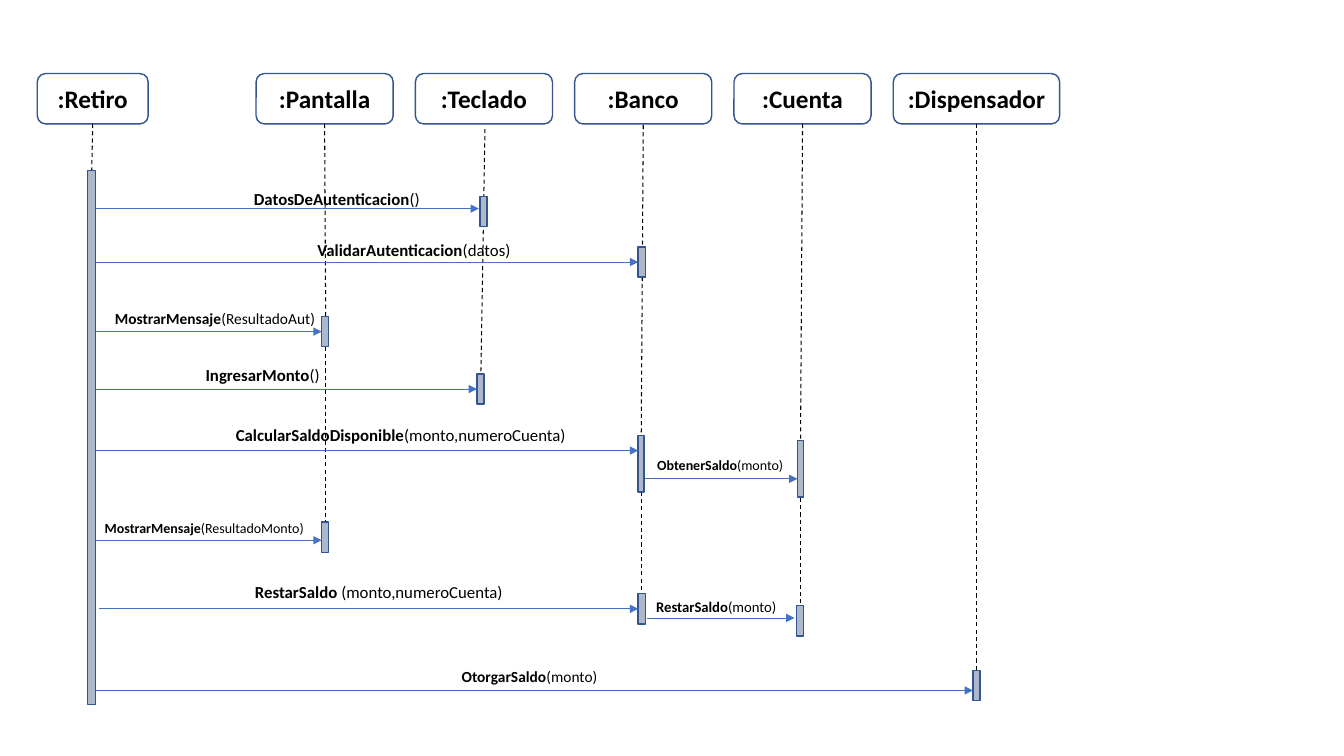
from dataclasses import dataclass

from lxml import etree
from pptx import Presentation
from pptx.dml.color import RGBColor
from pptx.enum.dml import MSO_LINE
from pptx.enum.shapes import MSO_CONNECTOR, MSO_SHAPE
from pptx.enum.text import MSO_ANCHOR, PP_ALIGN
from pptx.oxml.ns import qn
from pptx.util import Inches, Pt

STRAIGHT = MSO_CONNECTOR.STRAIGHT
RECTANGLE, ROUNDED = MSO_SHAPE.RECTANGLE, MSO_SHAPE.ROUNDED_RECTANGLE
MIDDLE, CENTER = MSO_ANCHOR.MIDDLE, PP_ALIGN.CENTER
DASH = MSO_LINE.DASH


@dataclass(frozen=True)
class Theme:
    font: str = "Calibri"
    ink: RGBColor = RGBColor(0, 0, 0)
    outline: RGBColor = RGBColor(0x32, 0x54, 0x91)
    bar: RGBColor = RGBColor(0xAD, 0xB9, 0xCA)
    arrow: RGBColor = RGBColor(0x44, 0x72, 0xC4)
    heading_size: float = 18
    outline_width: float = 1
    lifeline_width: float = 0.75
    arrow_width: float = 0.5


@dataclass(frozen=True)
class Activation:
    left: float
    top: float
    width: float = 0.07
    height: float = 0.3


@dataclass(frozen=True)
class Participant:
    name: str
    left: float
    width: float
    lifelines: list[tuple[float, float, float, float]]  # x1, y1, x2, y2
    activations: list[Activation]


@dataclass(frozen=True)
class Message:
    operation: str
    arguments: str
    start: float
    end: float
    y: float
    label_left: float
    label_top: float
    label_width: float
    size: float = 12


THEME = Theme()
HEAD_TOP, HEAD_HEIGHT, HEAD_WIDTH = 0.73, 0.5, 1.36
FIRST_LEFT, HEAD_PITCH = 2.54, 1.58
LABEL_HEIGHT = 0.3
RETIRO, PANTALLA, TECLADO, BANCO, CUENTA, DISPENSADOR = 0.95, 3.19, 4.75, 6.33, 7.91, 9.65


def head_left(column: int) -> float:
    return FIRST_LEFT + column * HEAD_PITCH


PARTICIPANTS = [
    Participant(":Retiro", 0.37, 1.1, [(0.92, 1.23, 0.91, 1.69)],
                [Activation(0.87, 1.69, 0.08, 5.3)]),
    Participant(":Pantalla", head_left(0), HEAD_WIDTH,
                [(3.22, 1.23, 3.23, 3.14), (3.23, 3.44, 3.23, 5.18)],
                [Activation(PANTALLA, 3.14), Activation(PANTALLA, 5.18)]),
    Participant(":Teclado", head_left(1), HEAD_WIDTH, [(4.81, 1.28, 4.77, 3.71)],
                [Activation(4.76, 1.95), Activation(4.73, 3.71)]),
    Participant(":Banco", head_left(2), HEAD_WIDTH,
                [(6.38, 1.24, 6.36, 4.32), (6.36, 4.88, 6.36, 5.89)],
                [Activation(BANCO, 2.45), Activation(BANCO, 4.32, 0.06, 0.56),
                 Activation(BANCO, 5.89)]),
    Participant(":Cuenta", head_left(3), HEAD_WIDTH,
                [(7.96, 1.23, 7.94, 4.37), (7.94, 4.94, 7.94, 6.01)],
                [Activation(CUENTA, 4.37, 0.06, 0.56), Activation(7.9, 6.01)]),
    Participant(":Dispensador", head_left(4), 1.65, [(9.69, 1.23, 9.69, 6.65)],
                [Activation(DISPENSADOR, 6.65)]),
]

MESSAGES = [
    Message("DatosDeAutenticacion", "()", RETIRO, TECLADO, 2.07, 2.42, 1.82, 1.88),
    Message("ValidarAutenticacion", "(datos)", RETIRO, BANCO, 2.6, 3.05, 2.33, 2.26),
    Message("MostrarMensaje", "(ResultadoAut)", RETIRO, PANTALLA, 3.29, 1.04, 3.02, 2.28, 11),
    Message("IngresarMonto", "()", RETIRO, 4.73, 3.86, 1.94, 3.57, 1.88),
    Message("CalcularSaldoDisponible", "(monto,numeroCuenta)", RETIRO, BANCO, 4.47,
            2.24, 4.16, 3.61),
    Message("ObtenerSaldo", "(monto)", 6.4, CUENTA, 4.75, 6.42, 4.48, 1.46, 10),
    Message("MostrarMensaje", "(ResultadoMonto)", RETIRO, PANTALLA, 5.36, 0.94, 5.1, 2.28, 10),
    Message("RestarSaldo ", "(monto,numeroCuenta)", 0.98, BANCO, 6.04, 2.43, 5.72, 3.61),
    Message("RestarSaldo", "(monto)", 6.42, 7.88, 6.13, 6.41, 5.88, 1.42, 10.5),
    Message("OtorgarSaldo", "(monto)", RETIRO, DISPENSADOR, 6.85, 4.48, 6.57, 1.66, 11),
]


def write(paragraph, text: str, *, size: float, bold: bool = False) -> None:
    run = paragraph.add_run()
    run.text = text
    run.font.name = THEME.font
    run.font.size = Pt(size)
    run.font.bold = bold
    run.font.color.rgb = THEME.ink


def add_box(slide, kind, left: float, top: float, width: float, height: float,
            fill: RGBColor | None = None):
    box = slide.shapes.add_shape(kind, Inches(left), Inches(top), Inches(width), Inches(height))
    box.shadow.inherit = False
    if fill is None:
        box.fill.background()
    else:
        box.fill.solid()
        box.fill.fore_color.rgb = fill
    box.line.color.rgb = THEME.outline
    box.line.width = Pt(THEME.outline_width)
    return box


def add_line(slide, x1: float, y1: float, x2: float, y2: float, color: RGBColor, width: float):
    line = slide.shapes.add_connector(STRAIGHT, Inches(x1), Inches(y1), Inches(x2), Inches(y2))
    line.line.color.rgb = color
    line.line.width = Pt(width)
    etree.SubElement(line._element.spPr, qn("a:effectLst"))
    return line


def draw_participant(slide, participant: Participant) -> None:
    head = add_box(slide, ROUNDED, participant.left, HEAD_TOP, participant.width, HEAD_HEIGHT)
    frame = head.text_frame
    frame.word_wrap = True
    frame.vertical_anchor = MIDDLE
    frame.paragraphs[0].alignment = CENTER
    write(frame.paragraphs[0], participant.name, size=THEME.heading_size, bold=True)
    for ends in participant.lifelines:
        lifeline = add_line(slide, *ends, THEME.ink, THEME.lifeline_width)
        lifeline.line.dash_style = DASH
    for bar in participant.activations:
        add_box(slide, RECTANGLE, bar.left, bar.top, bar.width, bar.height, THEME.bar)


def draw_message(slide, message: Message) -> None:
    arrow = add_line(slide, message.start, message.y, message.end, message.y,
                     THEME.arrow, THEME.arrow_width)
    etree.SubElement(arrow.line._get_or_add_ln(), qn("a:tailEnd"), type="triangle")
    label = slide.shapes.add_textbox(Inches(message.label_left), Inches(message.label_top),
                                     Inches(message.label_width), Inches(LABEL_HEIGHT))
    label.text_frame.word_wrap = True
    paragraph = label.text_frame.paragraphs[0]
    write(paragraph, message.operation, size=message.size, bold=True)
    write(paragraph, message.arguments, size=message.size)


presentation = Presentation()
presentation.slide_width, presentation.slide_height = Inches(13.33), Inches(7.5)
diagram = presentation.slides.add_slide(presentation.slide_layouts[6])

# Participants with their lifelines and activation bars
for participant in PARTICIPANTS:
    draw_participant(diagram, participant)

# Messages between them
for message in MESSAGES:
    draw_message(diagram, message)

presentation.save("out.pptx")
